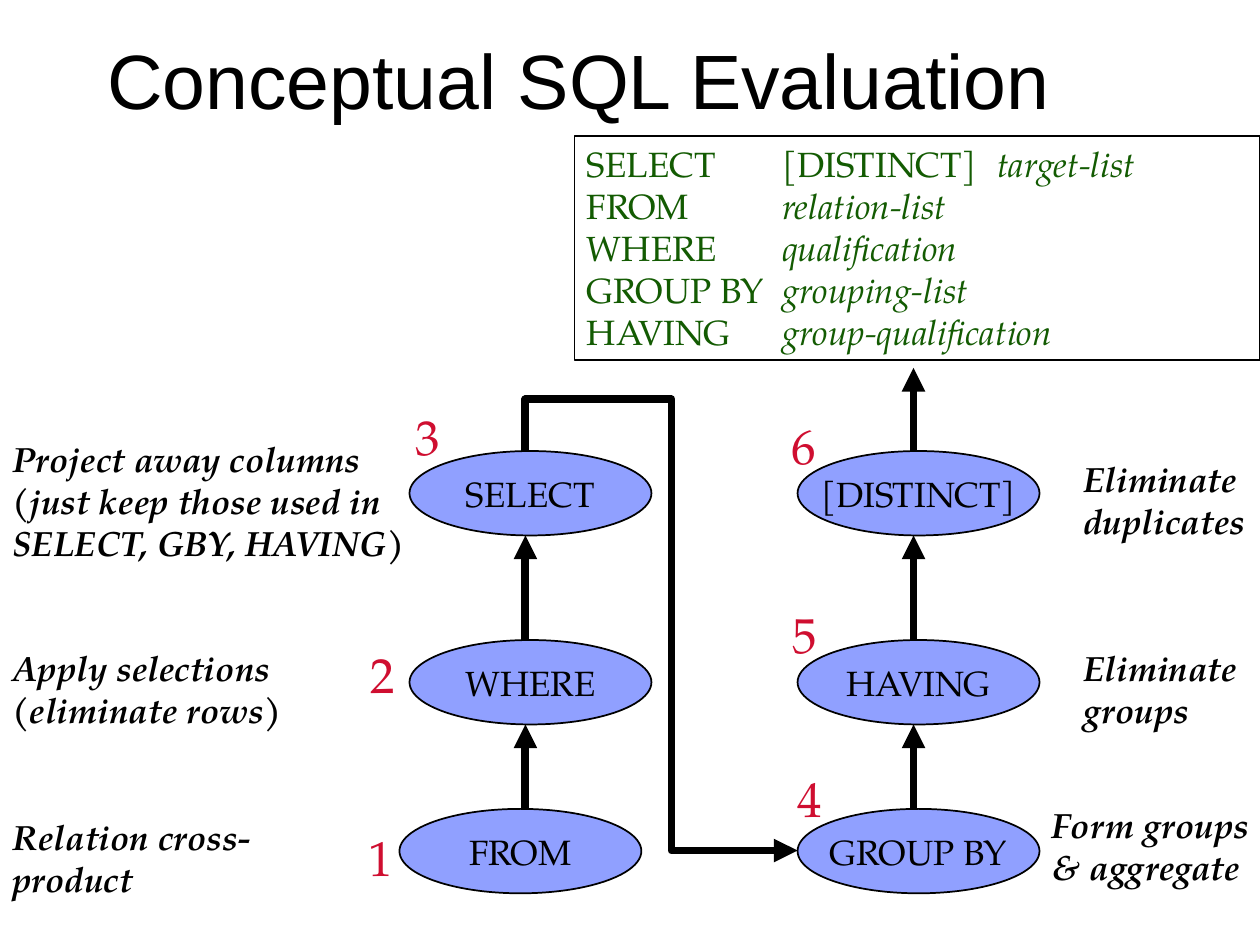
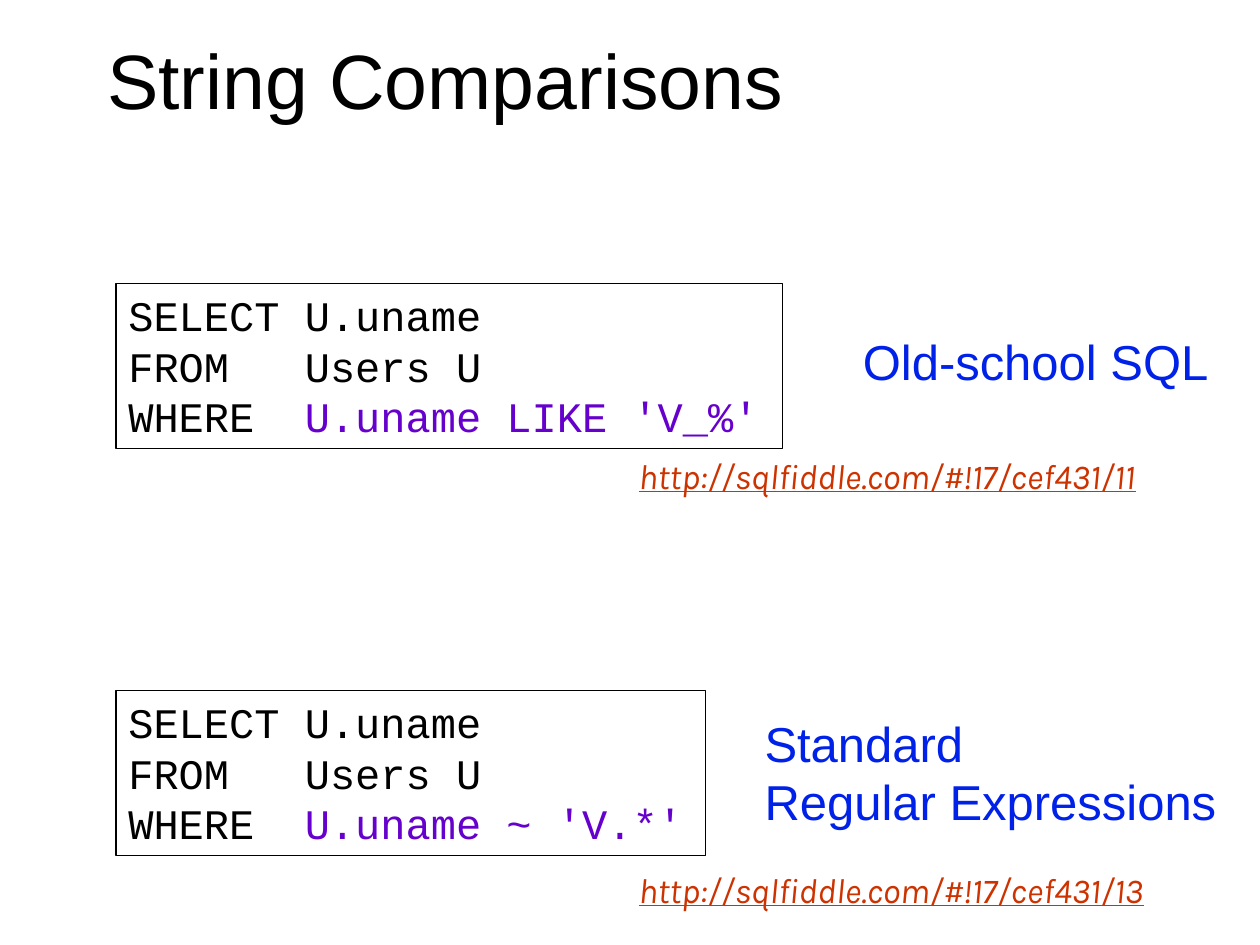
from dataclasses import dataclass
from lxml.etree import SubElement
from pptx import Presentation
from pptx.dml.color import RGBColor as Rgb
from pptx.enum.shapes import MSO_CONNECTOR as Link, MSO_SHAPE as Form
from pptx.enum.text import MSO_ANCHOR as Anchor, MSO_AUTO_SIZE as Fit, PP_ALIGN as Align
from pptx.oxml.ns import qn
from pptx.util import Inches, Pt


@dataclass(frozen=True)
class Look:
    face: str
    size: int
    ink: str
    bold: bool = False
    slant: bool = False
    under: bool = False


class Theme:
    serif, sans, mono = "TeX Gyre Pagella", "Arial", "Courier New"
    black, oval = Rgb.from_string("000000"), Rgb.from_string("90A0FF")
    title = Look(sans, 44, "000000")
    clause = Look(serif, 20, "135B02")
    arg = Look(serif, 20, "135B02", slant=True)
    step = Look(serif, 20, "000000")
    note = Look(serif, 20, "000000", bold=True, slant=True)
    count = Look(serif, 28, "CF0E30")
    code = Look(mono, 24, "000000")
    test = Look(mono, 24, "6600CC")
    url = Look("Karla", 20, "CC3300", slant=True, under=True)
    label = Look(sans, 28, "0021E8")


def write(shape, lines, *looks, wrap=True, fit=Fit.SHAPE_TO_FIT_TEXT,
          align=Align.LEFT, anchor=Anchor.TOP):
    """Fill a shape with lines; "|" parts the runs, which take the looks in turn."""
    frame = shape.text_frame
    frame.word_wrap, frame.auto_size, frame.vertical_anchor = wrap, fit, anchor
    for i, line in enumerate(lines):
        para = frame.add_paragraph() if i else frame.paragraphs[0]
        para.alignment = align
        for part, look in zip(line.split("|"), looks):
            run = para.add_run()
            run.text = part
            font = run.font
            font.name, font.size = look.face, Pt(look.size)
            font.bold, font.italic, font.underline = look.bold, look.slant, look.under
            font.color.rgb = Rgb.from_string(look.ink)


def point(shape):
    """Make a thick black line that ends in an arrowhead."""
    shape.line.color.rgb = Theme.black
    shape.line.width = Pt(4.5)
    props = shape.line._get_or_add_ln()
    SubElement(props, qn("a:tailEnd"), type="triangle")


deck = Presentation()
deck.slide_width, deck.slide_height = Inches(10), Inches(7.5)
slides = []
for name in ("Conceptual SQL Evaluation", "String Comparisons"):
    slide = deck.slides.add_slide(deck.slide_layouts[5])
    title = slide.shapes.title
    title.left, title.top = Inches(0.75), Inches(0)
    title.width, title.height = Inches(8.5), Inches(1.25)
    write(title, [name], Theme.title, fit=Fit.NONE, anchor=Anchor.MIDDLE)
    slides.append(slide)
flow, match = (slide.shapes for slide in slides)

# Slide 1: the query form
query = flow.add_shape(Form.RECTANGLE, Inches(4.56), Inches(1.08), Inches(5.44), Inches(1.78))
query.shadow.inherit = False
query.fill.background()
query.line.color.rgb, query.line.width = Theme.black, Pt(1)
write(query, ["SELECT\t[DISTINCT]\t|target-list", "FROM\t|relation-list",
              "WHERE\t|qualification", "GROUP BY\t|grouping-list",
              "HAVING\t|group-qualification"], Theme.clause, Theme.arg)
for para in query.text_frame.paragraphs:
    tabs = SubElement(para._p.get_or_add_pPr(), qn("a:tabLst"))
    for stop in (1.55, 3.26):
        SubElement(tabs, qn("a:tab"), pos=str(Inches(stop)), algn="l")

# Slide 1: the six steps in evaluation order
wide, high = 1.92, 0.67
steps = [  # name, oval left and top, number left and top
    ("FROM", 3.17, 6.42, 2.83, 6.52),
    ("WHERE", 3.25, 5.08, 2.84, 5.07),
    ("SELECT", 3.25, 3.58, 3.2, 3.18),
    ("GROUP BY", 6.33, 6.42, 6.23, 6.05),
    ("HAVING", 6.33, 5.08, 6.19, 4.75),
    ("[DISTINCT]", 6.33, 3.58, 6.18, 3.25),
]
for i, (name, left, top, numx, numy) in enumerate(steps, 1):
    oval = flow.add_shape(Form.OVAL, Inches(left), Inches(top), Inches(wide), Inches(high))
    oval.shadow.inherit = False
    oval.fill.solid()
    oval.fill.fore_color.rgb = Theme.oval
    oval.line.color.rgb, oval.line.width = Theme.black, Pt(1)
    write(oval, [name], Theme.step, wrap=False, fit=Fit.NONE,
          align=Align.CENTER, anchor=Anchor.MIDDLE)
    mark = flow.add_textbox(Inches(numx), Inches(numy), Inches(0.4), Inches(0.57))
    write(mark, [str(i)], Theme.count, wrap=False)

notes = [
    (0, 6.42, 2.17, 0.77, ["Relation cross-product"]),
    (0, 5.08, 2.83, 0.77, ["Apply selections", "(eliminate rows)"]),
    (0, 3.42, 3.42, 1.1, ["Project away columns",
                          "(just keep those used in SELECT, GBY, HAVING)"]),
    (8.25, 6.33, 2, 0.77, ["Form groups & aggregate"]),
    (8.5, 5.08, 1.5, 0.77, ["Eliminate groups"]),
    (8.5, 3.58, 1.5, 0.77, ["Eliminate duplicates"]),
]
for *area, lines in notes:
    note = flow.add_textbox(*map(Inches, area))
    write(note, lines, Theme.note)

rises = [(4.17, 6.42, 5.75), (4.17, 5.08, 4.25),
         (7.25, 6.42, 5.75), (7.25, 5.08, 4.25), (7.25, 3.58, 2.92)]
for x, low, top in rises:
    arrow = flow.add_connector(Link.STRAIGHT, Inches(x), Inches(low), Inches(x), Inches(top))
    SubElement(arrow._element.spPr, qn("a:effectLst"))
    point(arrow)

bends = [(4.17, 3.17), (5.33, 3.17), (5.33, 6.75), (6.33, 6.75)]
trace = flow.build_freeform(Inches(4.17), Inches(3.58))
trace.add_line_segments([(Inches(x), Inches(y)) for x, y in bends], close=False)
route = trace.convert_to_shape()
route.shadow.inherit = False
route.fill.background()
point(route)

# Slide 2: two ways to match a string
cases = [  # top, box width, test, link top and end, label area and lines
    (2.25, 5.29, "U.uname LIKE 'V_%'", 3.56, "11",
     (6.75, 2.58, 3.02, 0.57), ["Old-school SQL"]),
    (5.48, 4.68, "U.uname ~ 'V.*'", 6.84, "13",
     (5.97, 5.61, 3.8, 1.04), ["Standard", "Regular Expressions"]),
]
for top, width, test, low, page, area, lines in cases:
    box = match.add_shape(Form.RECTANGLE, Inches(0.92), Inches(top), Inches(width), Inches(1.31))
    box.shadow.inherit = False
    box.fill.background()
    box.line.color.rgb, box.line.width = Theme.black, Pt(0.75)
    write(box, ["SELECT U.uname", "FROM   Users U", f"WHERE  |{test}"],
          Theme.code, Theme.test, wrap=False)
    site = match.add_textbox(Inches(4.97), Inches(low), Inches(5), Inches(0.44))
    write(site, [f"http://sqlfiddle.com/#!17/cef431/{page}"], Theme.url)
    label = match.add_textbox(*map(Inches, area))
    write(label, lines, Theme.label, wrap=False)

deck.save("out.pptx")
